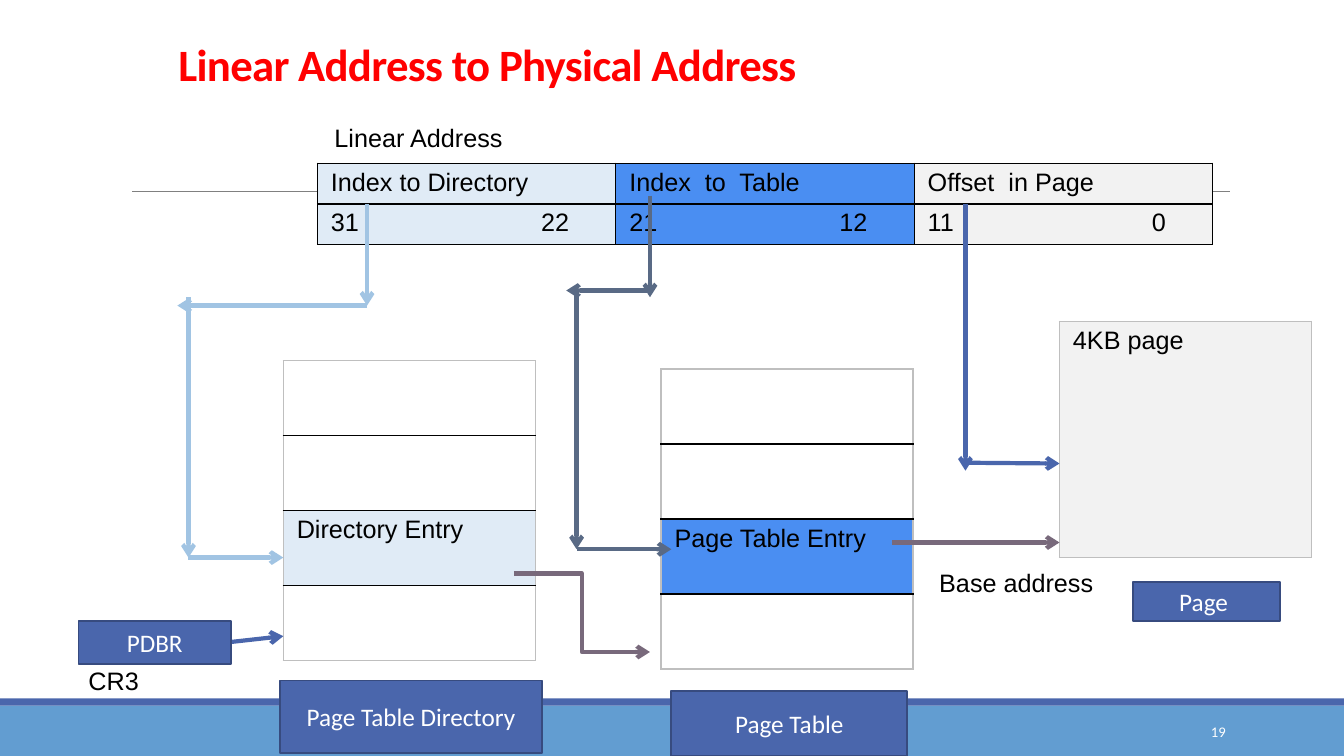
"""Build the slide that shows how a linear address maps to a physical address."""
from lxml import etree
from pptx import Presentation
from pptx.dml.color import RGBColor
from pptx.enum.shapes import MSO_CONNECTOR, MSO_SHAPE
from pptx.enum.text import MSO_ANCHOR, PP_ALIGN
from pptx.oxml.ns import qn
from pptx.util import Cm, Pt

STRAIGHT, ELBOW = MSO_CONNECTOR.STRAIGHT, MSO_CONNECTOR.ELBOW
RECTANGLE = MSO_SHAPE.RECTANGLE
BOTTOM, MIDDLE, TOP = MSO_ANCHOR.BOTTOM, MSO_ANCHOR.MIDDLE, MSO_ANCHOR.TOP
LEFT, CENTER, RIGHT = PP_ALIGN.LEFT, PP_ALIGN.CENTER, PP_ALIGN.RIGHT

BLACK, WHITE, GRAY = "000000", "FFFFFF", "BFBFBF"
BLUE, SKY, SLATE, MAUVE = "4A66AC", "A1C4E3", "596A85", "78697B"
DIRECTORY_FILL, TABLE_FILL, PAGE_FILL = "E0EBF6", "4A8EF2", "F2F2F2"


def color(value):
    return RGBColor.from_string(value)


def style_text(frame, font, size, value, align=LEFT, anchor=TOP):
    frame.vertical_anchor = anchor
    for para in frame.paragraphs:
        para.alignment = align
        for span in para.runs:
            span.font.name = font
            span.font.size = Pt(size)
            span.font.color.rgb = color(value)


deck = Presentation()
deck.slide_width, deck.slide_height = Cm(33.87), Cm(19.05)
page = deck.slides.add_slide(deck.slide_layouts[5])
shapes = page.shapes

title = shapes.title
title.left, title.top, title.width, title.height = Cm(4.24), Cm(0), Cm(27.1), Cm(2.41)
title.text_frame.text = "Linear Address to Physical Address"
style_text(title.text_frame, "Calibri", 32, "FF0000", LEFT, BOTTOM)
title_para = title.text_frame.paragraphs[0]
title_para.line_spacing = 0.85
title_para.runs[0].font.bold = True
title_para.runs[0].font._element.set("spc", "-50")

for top, height, fill in [(17.78, 1.27, "629DD1"), (17.6, 0.18, BLUE)]:
    band = shapes.add_shape(RECTANGLE, Cm(0), Cm(top), deck.slide_width, Cm(height))
    band.shadow.inherit = False
    band.fill.solid()
    band.fill.fore_color.rgb = color(fill)
    band.line.fill.background()

connectors = [
    (STRAIGHT, "808080", 0.5, False, [(3.33, 4.83, 30.99, 4.83)]),
    (ELBOW, MAUVE, 3, True, [(12.95, 14.45, 16.38, 16.43)]),
    (STRAIGHT, MAUVE, 3, True, [(22.48, 13.67, 26.7, 13.67)]),
    (STRAIGHT, SKY, 3, True, [
        (9.25, 5.13, 9.25, 7.7), (9.25, 7.7, 4.47, 7.7),
        (4.75, 7.49, 4.75, 14.05), (4.75, 14.05, 7.14, 14.05)]),
    (STRAIGHT, SLATE, 3, True, [
        (16.38, 4.93, 16.38, 7.49), (16.38, 7.32, 14.27, 7.32),
        (14.53, 7.32, 14.53, 13.84), (14.53, 13.84, 16.92, 13.84)]),
    (STRAIGHT, BLUE, 3, True, [
        (5.79, 16.18, 7.14, 16.03),
        (24.33, 5.13, 24.33, 11.86), (24.33, 11.66, 26.7, 11.68)]),
]
tables = [
    (7.14, 9.09, 6.35, 1.89, GRAY, [[""], [""], ["Directory Entry"], [""]],
     [[None], [None], [DIRECTORY_FILL], [None]]),
    (16.66, 9.3, 6.35, 1.89, GRAY, [[""], [""], ["Page Table Entry"], [""]],
     [[None], [None], [TABLE_FILL], [None]]),
    (26.7, 8.1, 6.35, 5.94, GRAY, [["4KB page"]], [[PAGE_FILL]]),
    (8, 4.11, 7.52, 1.03, BLACK,
     [["Index to Directory", "Index  to  Table", "Offset  in Page"],
      ["31\t22", "21\t12", "11\t0"]],
     [[DIRECTORY_FILL, TABLE_FILL, PAGE_FILL]] * 2),
]

rule_and_arrows = []
for kind, line_color, weight, has_arrow, segments in connectors:
    for segment in segments:
        connector = shapes.add_connector(kind, *[Cm(value) for value in segment])
        connector.line.color.rgb = color(line_color)
        connector.line.width = Pt(weight)
        properties = connector._element.spPr
        if has_arrow:
            etree.SubElement(properties.find(qn("a:ln")), qn("a:tailEnd"), type="arrow")
        etree.SubElement(properties, qn("a:effectLst"))
        rule_and_arrows.append(connector)

for left, top, column_width, row_height, edge, texts, fills in tables:
    row_count, column_count = len(texts), len(texts[0])
    holder = shapes.add_table(row_count, column_count, Cm(left), Cm(top),
                              Cm(column_width * column_count), Cm(row_height * row_count))
    rule_and_arrows[1]._element.addprevious(holder._element)
    table = holder.table
    table.first_row = table.horz_banding = False
    for row_index, row in enumerate(table.rows):
        row.height = Cm(row_height)
        for column_index, cell in enumerate(row.cells):
            cell.margin_left = cell.margin_right = Cm(0.34)
            cell.margin_top = cell.margin_bottom = Cm(0.13)
            cell.text_frame.text = texts[row_index][column_index]
            style_text(cell.text_frame, "Arial", 18, BLACK)
            cell_properties = cell._tc.get_or_add_tcPr()
            outer = {"a:lnL": column_index == 0, "a:lnR": column_index == column_count - 1,
                     "a:lnT": row_index == 0, "a:lnB": row_index == row_count - 1}
            for side, is_outer in outer.items():
                border = etree.SubElement(cell_properties, qn(side), w=str(Pt(1)))
                paint = etree.SubElement(border, qn("a:solidFill"))
                etree.SubElement(paint, qn("a:srgbClr"), val=edge if is_outer else BLACK)
            fill = fills[row_index][column_index]
            if fill:
                cell.fill.solid()
                cell.fill.fore_color.rgb = color(fill)
            else:
                cell.fill.background()
            if "\t" in texts[row_index][column_index]:
                para_properties = cell.text_frame.paragraphs[0]._p.get_or_add_pPr()
                tabs = etree.SubElement(para_properties, qn("a:tabLst"))
                etree.SubElement(tabs, qn("a:tab"), pos=str(Cm(6)), algn="r")

for text, left, top, width, height in [
    ("PDBR", 1.98, 15.65, 3.84, 1.09),
    ("Page Table Directory", 7.06, 17.15, 6.6, 1.83),
    ("Page Table", 16.92, 17.42, 5.94, 1.63),
    ("Page ", 28.55, 14.66, 3.71, 0.99),
]:
    box = shapes.add_shape(RECTANGLE, Cm(left), Cm(top), Cm(width), Cm(height))
    box.shadow.inherit = False
    box.fill.solid()
    box.fill.fore_color.rgb = color(BLUE)
    box.line.color.rgb = color("374B7F")
    box.line.width = Pt(1.25)
    box.text_frame.text = text
    style_text(box.text_frame, "Calibri", 18, WHITE, CENTER, MIDDLE)

for text, left, top, width, wrap, style in [
    ("CR3", 1.98, 16.64, 3.56, True, ("Arial", 18, BLACK)),
    ("Linear Address", 8.18, 2.97, 4.78, False, ("Arial", 18, BLACK)),
    ("Base address", 23.42, 14.17, 4.42, False, ("Arial", 18, BLACK)),
    ("19", 27.51, 17.93, 3.63, True, ("Calibri", 10.5, WHITE, RIGHT, MIDDLE)),
]:
    label = shapes.add_textbox(Cm(left), Cm(top), Cm(width), Cm(1.02))
    label.text_frame.word_wrap = wrap
    label.text_frame.text = text
    style_text(label.text_frame, *style)

deck.save("out.pptx")
